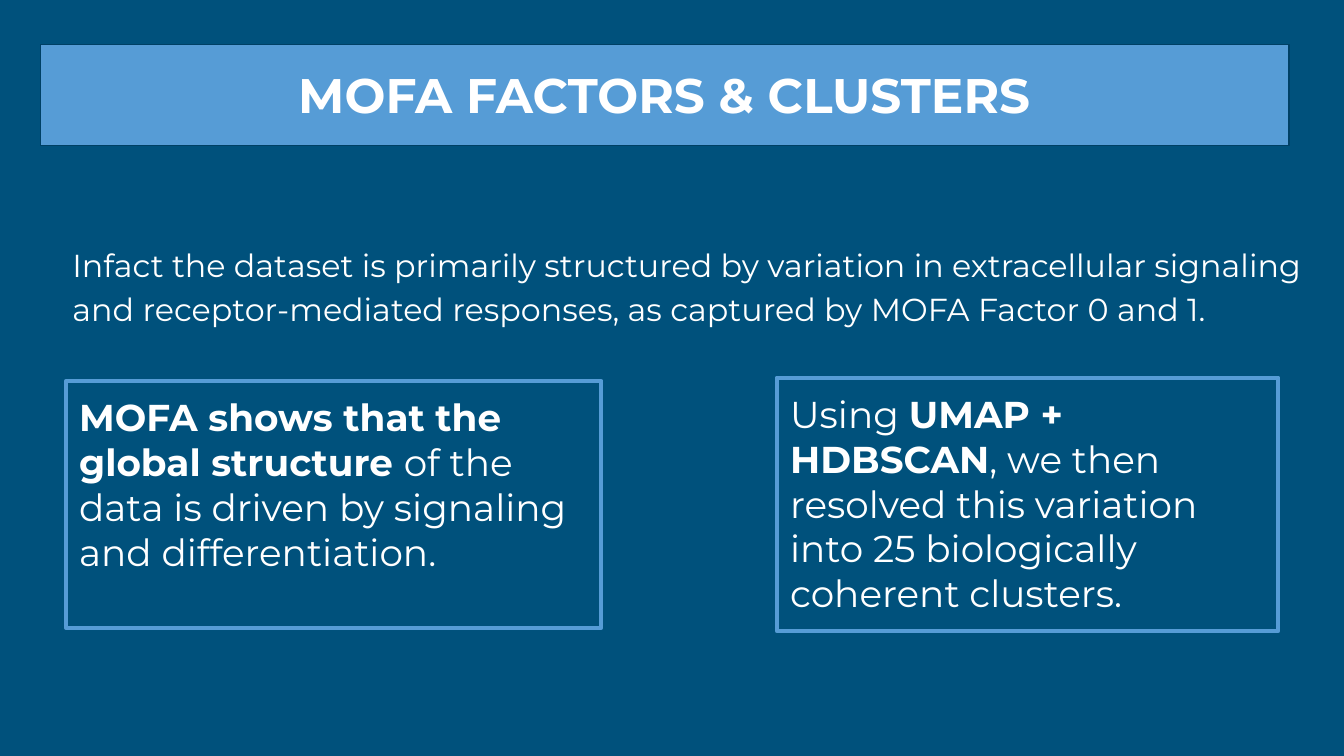
from dataclasses import dataclass

from pptx import Presentation
from pptx.dml.color import RGBColor
from pptx.enum.shapes import MSO_SHAPE
from pptx.enum.text import MSO_ANCHOR, MSO_AUTO_SIZE, PP_ALIGN
from pptx.shapes.autoshape import Shape
from pptx.slide import Slide
from pptx.text.text import Font, TextFrame, _Paragraph
from pptx.util import Pt

NAVY, BLUE, EDGE, WHITE = "00517C", "569CD6", "004065", "FFFFFF"
FACE = "Montserrat"
PAD = Pt(7.2)


@dataclass
class Area:
    left: float
    top: float
    width: float
    height: float

    def lengths(self) -> tuple[Pt, Pt, Pt, Pt]:
        return Pt(self.left), Pt(self.top), Pt(self.width), Pt(self.height)


@dataclass
class Panel:
    area: Area
    runs: list[tuple[str, bool]]


TITLE = Area(21.6, 19.4, 668.9, 54)
BANNER = Area(21.6, 23.8, 668.9, 54)
INTRO = Area(31.7, 121.7, 691.9, 59)
PANELS = [
    Panel(Area(35.3, 204.2, 286.9, 132.1), [
        ("MOFA shows that the global structure ", True),
        ("of the data is driven by signaling and differentiation.", False),
    ]),
    Panel(Area(416.2, 202.3, 268.6, 135.8), [
        ("Using ", False),
        ("UMAP + HDBSCAN", True),
        (", we then resolved this variation into 25 biologically coherent clusters.", False),
    ]),
]


def color(code: str) -> RGBColor:
    return RGBColor.from_string(code)


def style(font: Font, size: float) -> None:
    font.name, font.size = FACE, Pt(size)
    font.color.rgb = color(WHITE)


def prepare(frame: TextFrame, anchor: MSO_ANCHOR, fit: MSO_AUTO_SIZE) -> _Paragraph:
    frame.word_wrap = True
    frame.auto_size = fit
    frame.vertical_anchor = anchor
    frame.margin_left = frame.margin_right = PAD
    frame.margin_top = frame.margin_bottom = PAD
    return frame.paragraphs[0]


def add_box(slide: Slide, area: Area, line: str, weight: float, fill: str | None = None) -> Shape:
    box = slide.shapes.add_shape(MSO_SHAPE.RECTANGLE, *area.lengths())
    box.shadow.inherit = False
    if fill:
        box.fill.solid()
        box.fill.fore_color.rgb = color(fill)
    else:
        box.fill.background()
    box.line.color.rgb = color(line)
    box.line.width = Pt(weight)
    return box


def add_title(slide: Slide, text: str) -> None:
    add_box(slide, BANNER, EDGE, 0.75, BLUE)
    title = slide.shapes.title
    title.left, title.top, title.width, title.height = TITLE.lengths()
    title.element.getparent().append(title.element)
    line = prepare(title.text_frame, MSO_ANCHOR.BOTTOM, MSO_AUTO_SIZE.NONE)
    line.text = text
    line.alignment = PP_ALIGN.CENTER
    style(line.font, 26)
    line.font.bold = True


def add_intro(slide: Slide, text: str) -> None:
    box = slide.shapes.add_textbox(*INTRO.lengths())
    body = prepare(box.text_frame, MSO_ANCHOR.TOP, MSO_AUTO_SIZE.SHAPE_TO_FIT_TEXT)
    body.text = text
    body.line_spacing = 1.15
    body.space_before = body.space_after = Pt(12)
    style(body.font, 17)


def add_panel(slide: Slide, panel: Panel) -> None:
    box = add_box(slide, panel.area, BLUE, 2.25)
    body = prepare(box.text_frame, MSO_ANCHOR.TOP, MSO_AUTO_SIZE.SHAPE_TO_FIT_TEXT)
    body.alignment = PP_ALIGN.LEFT
    style(body.font, 20)
    for text, bold in panel.runs:
        run = body.add_run()
        run.text = text
        run.font.bold = bold


def main() -> None:
    """Build the slide on MOFA factors and clusters."""
    deck = Presentation()
    deck.slide_width, deck.slide_height = Pt(720), Pt(405)
    slide = deck.slides.add_slide(deck.slide_layouts[5])
    slide.background.fill.solid()
    slide.background.fill.fore_color.rgb = color(NAVY)
    add_title(slide, "MOFA FACTORS & CLUSTERS")
    add_intro(slide, "Infact the dataset is primarily structured by variation in extracellular "
              "signaling and receptor-mediated responses, as captured by MOFA Factor 0 and 1.")
    for panel in PANELS:
        add_panel(slide, panel)
    deck.save("out.pptx")


if __name__ == "__main__":
    main()
